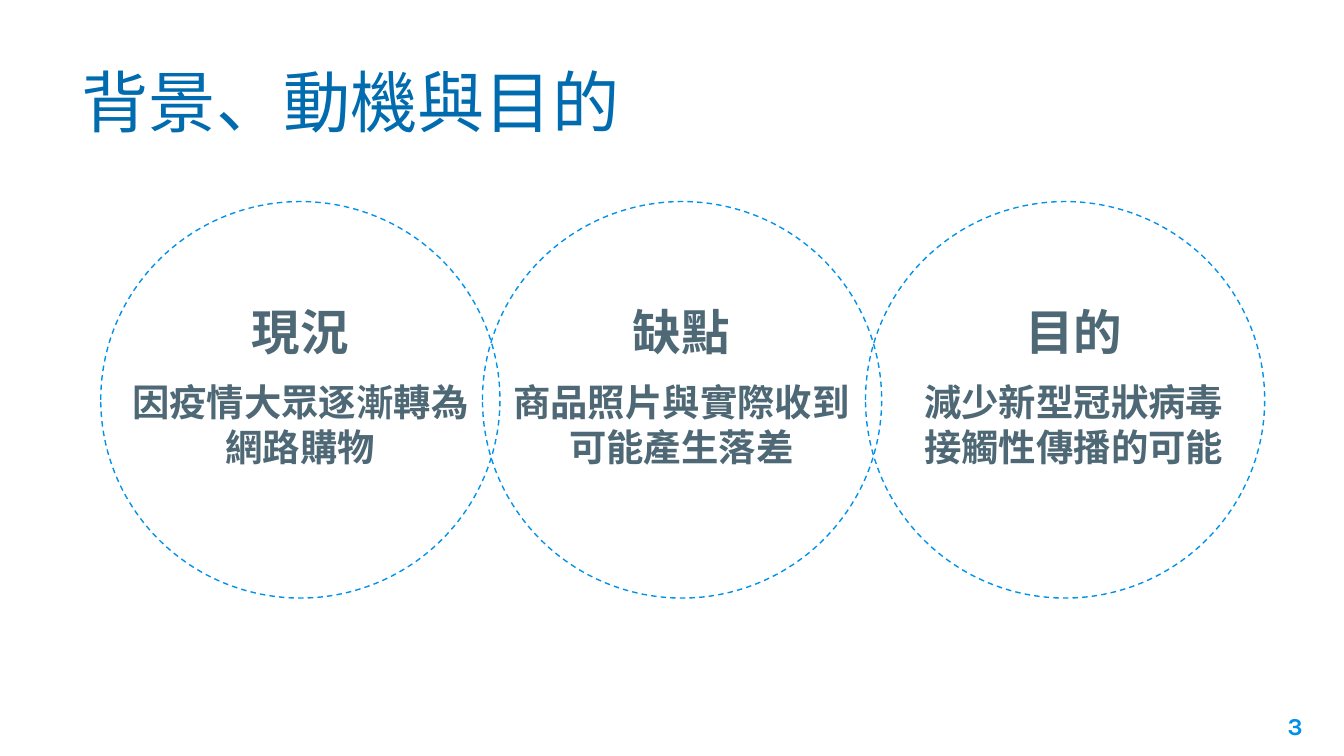
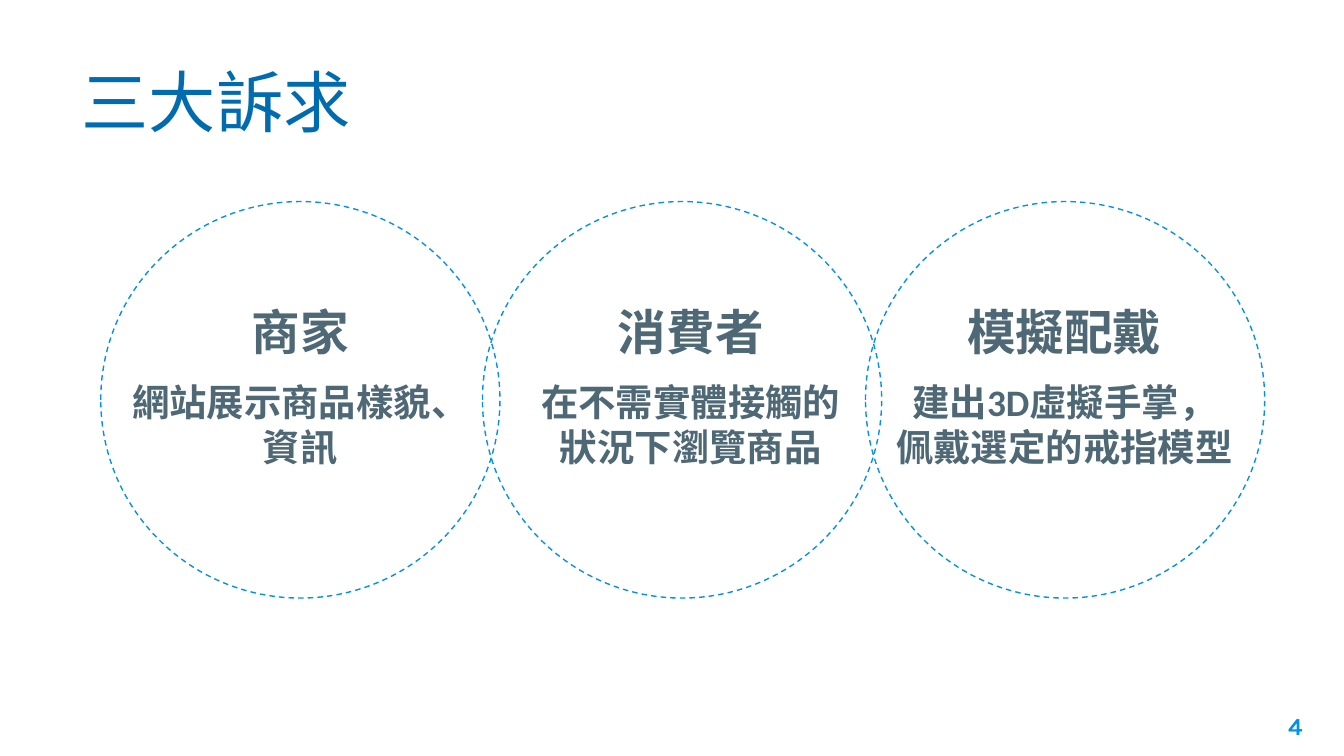
"""Build two slides of three overlapping dashed circles with captions."""
from pptx import Presentation
from pptx.dml.color import RGBColor
from pptx.enum.dml import MSO_LINE
from pptx.enum.shapes import MSO_SHAPE
from pptx.enum.text import MSO_ANCHOR, MSO_AUTO_SIZE, PP_ALIGN
from pptx.util import Inches, Pt

COLORS = {"title": "006CAF", "accent": "0091EA", "body": "4E6876"}

SLIDES = [
    (3, "背景、動機與目的", [
        (0.37, 3.73, 1.45, ["現況", "因疫情大眾逐漸轉為", "網路購物"]),
        (3.68, 2.78, 1.59, ["缺點", "商品照片與實際收到可能產生落差"]),
        (6.35, 3.28, 1.45, ["目的", "減少新型冠狀病毒", "接觸性傳播的可能"]),
    ]),
    (4, "三大訴求", [
        (0.37, 3.73, 1.45, ["商家", "網站展示商品樣貌、", "資訊"]),
        (3.5, 3.28, 1.45, ["消費者", "在不需實體接觸的", "狀況下瀏覽商品"]),
        (6.28, 3.28, 1.45, ["模擬配戴", "建出3D虛擬手掌，", "佩戴選定的戒指模型"]),
    ]),
]


def add_text(slide, box, lines, sizes, color, align, font="Calibri", bold=True):
    frame = slide.shapes.add_textbox(*map(Inches, box)).text_frame
    frame.word_wrap = True
    frame.margin_left = frame.margin_right = Inches(0.1)
    frame.margin_top = frame.margin_bottom = Inches(0.1)
    frame.text = "\n".join(lines)
    for para, size in zip(frame.paragraphs, sizes):
        para.alignment = align
        para.font.name = font
        para.font.size = Pt(size)
        para.font.bold = bold
        para.font.color.rgb = RGBColor.from_string(COLORS[color])
    return frame


deck = Presentation()
deck.slide_width = Inches(10)
deck.slide_height = deck.slide_width * 9 // 16

for number, title, topics in SLIDES:
    slide = deck.slides.add_slide(deck.slide_layouts[6])

    for left in (3.59, 0.75, 6.44):
        ring = slide.shapes.add_shape(
            MSO_SHAPE.OVAL, Inches(left), Inches(1.5), Inches(2.97), Inches(2.95))
        ring.shadow.inherit = False
        ring.fill.background()
        ring.line.color.rgb = RGBColor.from_string(COLORS["accent"])
        ring.line.width = Pt(0.75)
        ring.line.dash_style = MSO_LINE.DASH

    add_text(slide, (9.19, 5.19, 0.6, 0.43), [str(number)], [13], "accent",
             PP_ALIGN.RIGHT, font="Karla")
    head = add_text(slide, (0.51, 0.38, 8.28, 0.77), [title], [36], "title",
                    PP_ALIGN.LEFT, bold=False)
    head.vertical_anchor = MSO_ANCHOR.BOTTOM

    for left, width, height, lines in topics:
        topic = add_text(slide, (left, 2.15, width, height), lines, [26, 20, 20],
                         "body", PP_ALIGN.CENTER)
        topic.auto_size = MSO_AUTO_SIZE.SHAPE_TO_FIT_TEXT
        topic.paragraphs[1].space_before = Pt(10)

deck.save("out.pptx")
